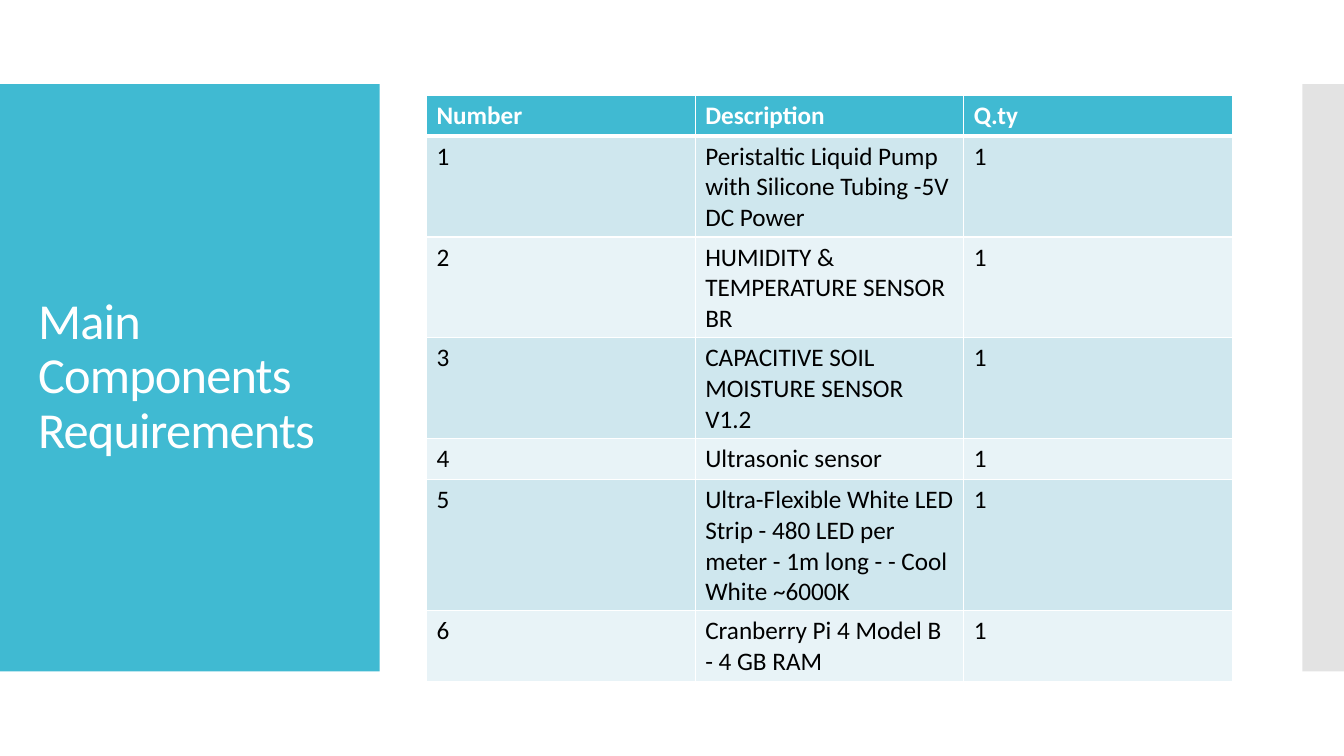
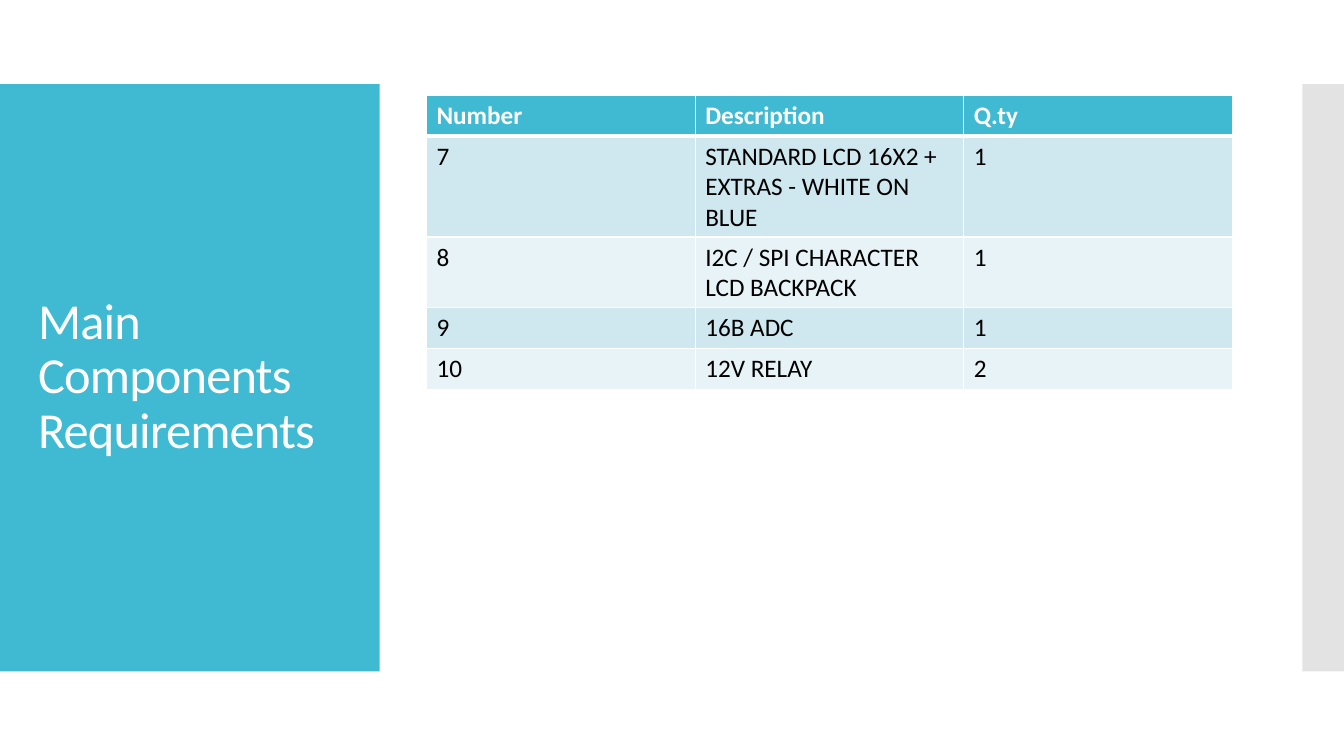
from dataclasses import dataclass

from lxml.etree import SubElement
from pptx import Presentation
from pptx.dml.color import RGBColor
from pptx.enum.shapes import MSO_SHAPE
from pptx.enum.text import MSO_ANCHOR
from pptx.oxml.ns import qn
from pptx.util import Cm, Pt


@dataclass(frozen=True)
class Theme:
    """Colours, font and type sizes of the deck."""
    accent: str = "40BAD2"
    edge: str = "C8C8C8"
    odd_row: str = "CFE7EE"
    even_row: str = "E8F3F7"
    light: str = "FFFFFF"
    dark: str = "000000"
    font: str = "Calibri"
    title_size: int = 36
    table_size: int = 18
    grid: int = 1
    header_rule: int = 3


THEME = Theme()
TITLE = "Main Components Requirements"
HEADER = ("Number", "Description", "Q.ty")
COMPONENTS = [
    [
        ("1", "Peristaltic Liquid Pump with Silicone Tubing -5V DC Power", "1"),
        ("2", "HUMIDITY & TEMPERATURE SENSOR BR", "1"),
        ("3", "CAPACITIVE SOIL MOISTURE SENSOR V1.2", "1"),
        ("4", "Ultrasonic sensor", "1"),
        ("5", "Ultra-Flexible White LED Strip - 480 LED per meter "
              "- 1m long - - Cool White ~6000K", "1"),
        ("6", "Cranberry Pi 4 Model B - 4 GB RAM", "1"),
    ],
    [
        ("7", "STANDARD LCD 16X2 + EXTRAS - WHITE ON BLUE", "1"),
        ("8", "I2C / SPI CHARACTER LCD BACKPACK", "1"),
        ("9", "16B ADC", "1"),
        ("10", "12V RELAY", "2"),
    ],
]


def write(tf, text, size, color, bold=False, line_spacing=None, tracking=None):
    """Write one formatted paragraph into a text frame."""
    p = tf.paragraphs[0]
    if line_spacing:
        p.line_spacing = line_spacing
    r = p.add_run()
    r.text = text
    r.font.name = THEME.font
    r.font.size = Pt(size)
    r.font.bold = bold
    r.font.color.rgb = RGBColor.from_string(color)
    if tracking:
        r.font._element.set("spc", str(round(tracking * 100)))


def add_band(s, left, width, color, alpha=None):
    """Add a full-height side band, optionally see-through."""
    sp = s.shapes.add_shape(MSO_SHAPE.RECTANGLE, Cm(left), Cm(2.12), Cm(width), Cm(14.8))
    sp.shadow.inherit = False
    sp.line.fill.background()
    sp.fill.solid()
    sp.fill.fore_color.rgb = RGBColor.from_string(color)
    if alpha is not None:
        clr = sp._element.spPr.find(".//" + qn("a:srgbClr"))
        SubElement(clr, qn("a:alpha"), val=str(alpha * 1000))


def add_title(s, text):
    """Add the slide title, centred vertically on the left band."""
    tf = s.shapes.add_textbox(Cm(0.71), Cm(3.12), Cm(8.18), Cm(12.78)).text_frame
    tf.word_wrap = True
    tf.vertical_anchor = MSO_ANCHOR.MIDDLE
    write(tf, text, THEME.title_size, THEME.light, line_spacing=0.9, tracking=-0.6)


def set_borders(cell, top, bottom):
    """Draw the white borders of a cell."""
    widths = {"L": THEME.grid, "R": THEME.grid, "T": top, "B": bottom}
    tc_pr = cell._tc.get_or_add_tcPr()
    for side, width in widths.items():
        ln = SubElement(tc_pr, qn(f"a:ln{side}"), w=str(Pt(width)))
        SubElement(SubElement(ln, qn("a:solidFill")), qn("a:srgbClr"), val=THEME.light)


def format_cell(cell, text, row):
    """Fill a cell according to its row."""
    header = row == 0
    if header:
        fill, color = THEME.accent, THEME.light
    else:
        fill, color = (THEME.odd_row if row % 2 else THEME.even_row), THEME.dark
    set_borders(cell, THEME.header_rule if row == 1 else THEME.grid,
                THEME.header_rule if header else THEME.grid)
    cell.fill.solid()
    cell.fill.fore_color.rgb = RGBColor.from_string(fill)
    write(cell.text_frame, text, THEME.table_size, color, bold=header)


def add_component_table(s, components):
    """Add the component table with equal columns."""
    rows = [HEADER, *components]
    row_height, col_width = Cm(1.03), Cm(6.77)
    table = s.shapes.add_table(len(rows), len(HEADER), Cm(10.75), Cm(2.4),
                               col_width * len(HEADER), row_height * len(rows)).table
    for col in table.columns:
        col.width = col_width
    for i, values in enumerate(rows):
        table.rows[i].height = row_height
        for j, text in enumerate(values):
            format_cell(table.cell(i, j), text, i)


def add_component_slide(prs, components):
    """Add a slide with bands, title and component table."""
    s = prs.slides.add_slide(prs.slide_layouts[6])
    add_band(s, 0, 9.57, THEME.accent)
    add_band(s, 32.82, 1.05, THEME.edge, alpha=50)
    add_title(s, TITLE)
    add_component_table(s, components)


def main():
    """Build and save the deck."""
    prs = Presentation()
    prs.slide_width, prs.slide_height = Cm(33.87), Cm(19.05)
    for components in COMPONENTS:
        add_component_slide(prs, components)
    prs.save("out.pptx")


if __name__ == "__main__":
    main()
